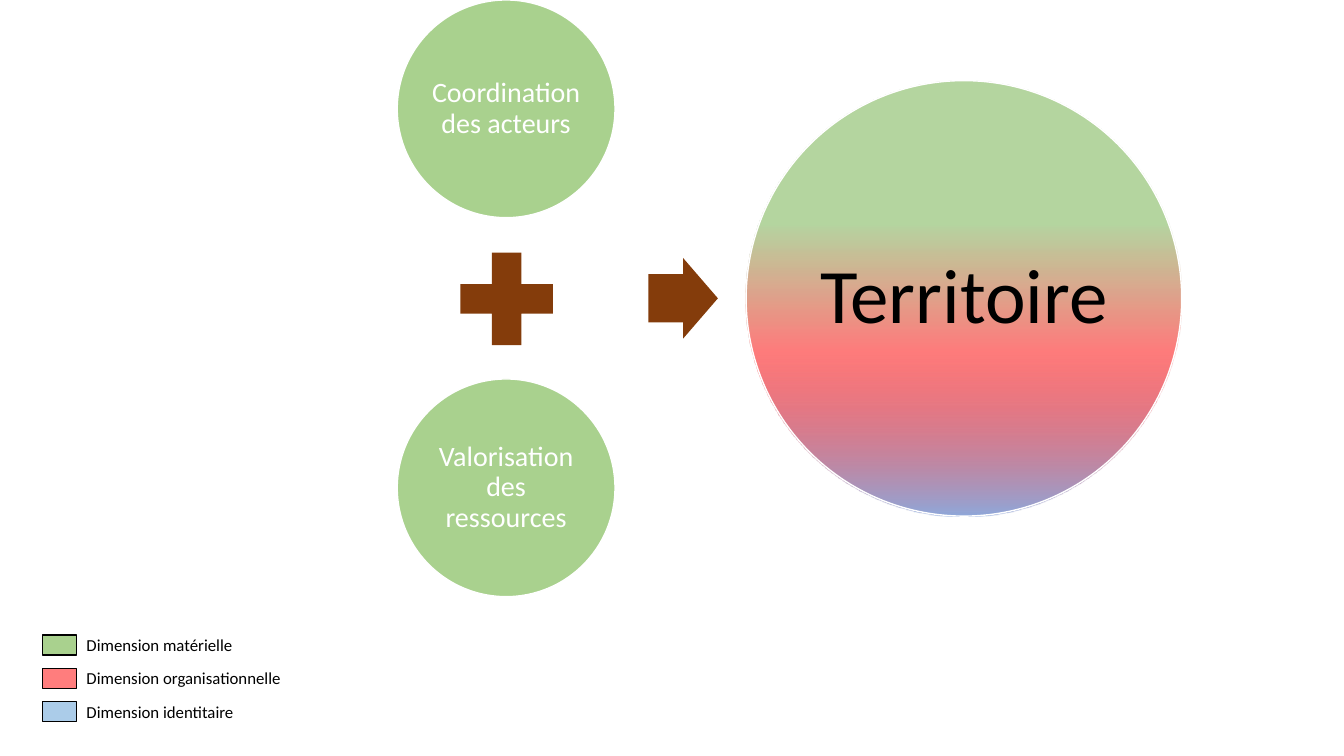
from dataclasses import dataclass

from pptx import Presentation
from pptx.dml.color import RGBColor
from pptx.enum.shapes import MSO_SHAPE
from pptx.enum.text import MSO_ANCHOR, PP_ALIGN
from pptx.oxml import parse_xml
from pptx.oxml.ns import nsdecls, qn
from pptx.util import Inches, Pt
from lxml import etree


@dataclass(frozen=True)
class Theme:
    font: str = "Calibri"
    green: str = "A9D18E"
    deep_green: str = "70AD47"
    red: str = "FF0000"
    blue: str = "5B9BD5"
    pale_blue: str = "8FAADC"
    brown: str = "843C0B"
    white: str = "FFFFFF"
    black: str = "000000"
    alpha: int = 51
    factor_size: int = 20
    result_size: int = 55
    legend_size: int = 12


THEME = Theme()


def add_filled(slide, kind, box, color, line=None, alpha=100):
    shape = slide.shapes.add_shape(kind, *map(Inches, box))
    shape.shadow.inherit = False
    shape.fill.solid()
    shape.fill.fore_color.rgb = RGBColor.from_string(color)
    if alpha < 100:
        srgb = shape.fill._xPr.find(".//" + qn("a:srgbClr"))
        etree.SubElement(srgb, qn("a:alpha"), val=str(alpha * 1000))
    if line:
        shape.line.color.rgb = RGBColor.from_string(line)
        shape.line.width = Pt(1)
    else:
        shape.line.fill.background()
    return shape


def write(shape, text, size, color):
    frame = shape.text_frame
    frame.word_wrap = True
    paragraph = frame.paragraphs[0]
    run = paragraph.add_run()
    run.text = text
    run.font.name = THEME.font
    run.font.size = Pt(size)
    run.font.color.rgb = RGBColor.from_string(color)
    return frame


def add_circle(slide, left, top, diameter, text, size, color):
    box = (left, top, diameter, diameter)
    circle = add_filled(slide, MSO_SHAPE.OVAL, box, THEME.green, THEME.white)
    frame = write(circle, text, size, color)
    frame.vertical_anchor = MSO_ANCHOR.MIDDLE
    # No inner margins, so the longest word fits on one line
    frame.margin_left = frame.margin_right = 0
    frame.margin_top = frame.margin_bottom = 0
    frame.paragraphs[0].alignment = PP_ALIGN.CENTER
    frame.paragraphs[0].line_spacing = 0.9
    return circle


def set_vertical_gradient(shape, stops):
    """Fill from top to bottom; stops are (percent, colour, opacity percent)."""
    marks = "".join(
        f'<a:gs pos="{pos * 1000}"><a:srgbClr val="{color}">'
        f'<a:alpha val="{alpha * 1000}"/></a:srgbClr></a:gs>'
        for pos, color, alpha in stops
    )
    gradient = parse_xml(
        f'<a:gradFill {nsdecls("a")} rotWithShape="1"><a:gsLst>{marks}</a:gsLst>'
        '<a:lin ang="5400000" scaled="0"/></a:gradFill>'
    )
    properties = shape.fill._xPr
    properties.replace(properties.find(qn("a:solidFill")), gradient)


def add_legend_row(slide, top, label, color, alpha):
    add_filled(slide, MSO_SHAPE.RECTANGLE, (0.42, top, 0.34, 0.2),
               color, THEME.black, alpha)
    box = slide.shapes.add_textbox(
        Inches(0.76), Inches(top - 0.05), Inches(3), Inches(0.3))
    write(box, label, THEME.legend_size, THEME.black)


def main():
    prs = Presentation()
    prs.slide_width, prs.slide_height = Inches(13.33), Inches(7.5)
    slide = prs.slides.add_slide(prs.slide_layouts[6])

    # Two factors, joined by a plus sign
    for top, text in ((0, "Coordination des acteurs"),
                      (3.76, "Valorisation des ressources")):
        add_circle(slide, 3.94, top, 2.16, text,
                   THEME.factor_size, THEME.white)
    add_filled(slide, MSO_SHAPE.MATH_PLUS, (4.4, 2.34, 1.25, 1.25), THEME.brown)

    # Arrow to the result
    arrow = add_filled(slide, MSO_SHAPE.RIGHT_ARROW,
                       (6.43, 2.56, 0.69, 0.8), THEME.brown)
    arrow.adjustments[0] = 0.6
    arrow.adjustments[1] = 0.5
    territory = add_circle(slide, 7.4, 0.8, 4.32, "Territoire",
                           THEME.result_size, THEME.black)
    set_vertical_gradient(territory, (
        (33, THEME.deep_green, THEME.alpha),
        (62, THEME.red, THEME.alpha),
        (100, THEME.pale_blue, 100),
    ))

    # Legend
    legend = (("Dimension matérielle", THEME.green, 100),
              ("Dimension organisationnelle", THEME.red, THEME.alpha),
              ("Dimension identitaire", THEME.blue, THEME.alpha))
    for row, entry in enumerate(legend):
        add_legend_row(slide, 6.3 + row * 0.33, *entry)

    prs.save("out.pptx")


main()
